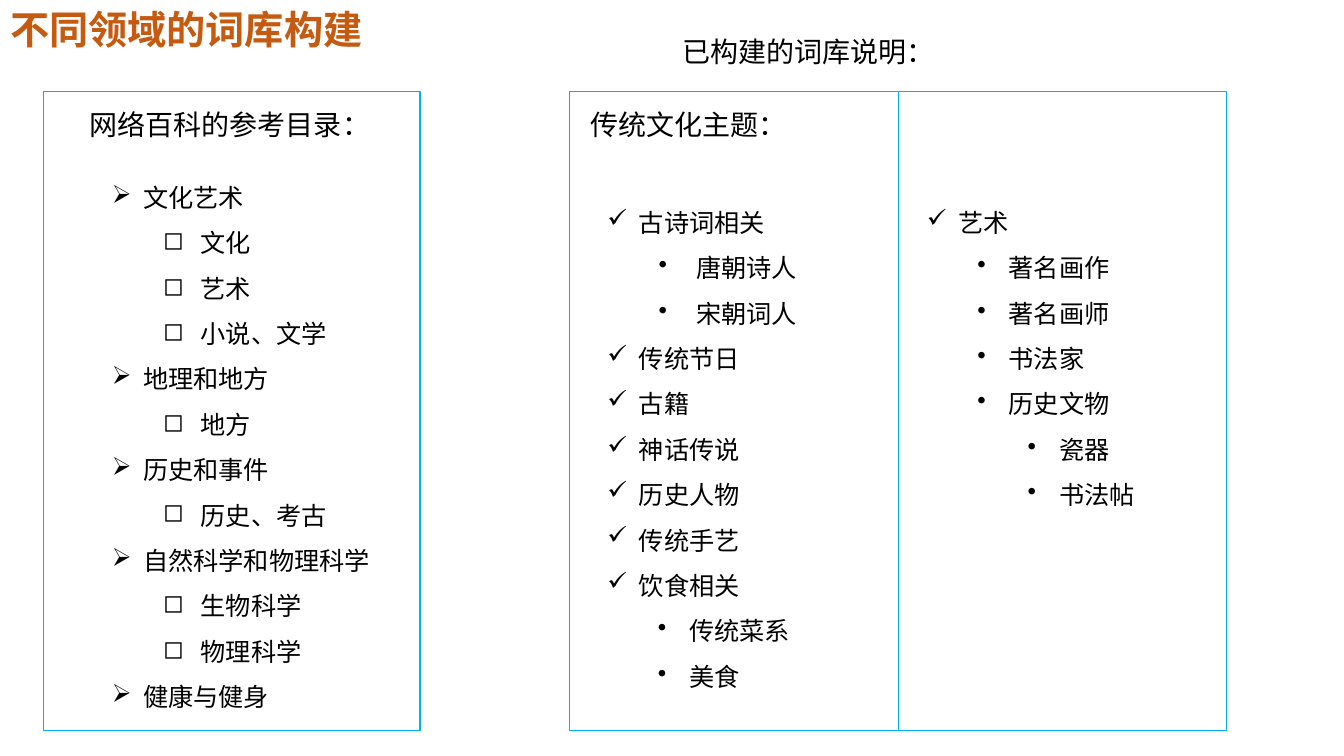
from lxml import etree
from pptx import Presentation
from pptx.dml.color import RGBColor
from pptx.enum.shapes import MSO_CONNECTOR, MSO_SHAPE
from pptx.enum.text import MSO_ANCHOR, MSO_AUTO_SIZE, PP_ALIGN
from pptx.oxml.ns import qn
from pptx.util import Cm, Pt

RECTANGLE = MSO_SHAPE.RECTANGLE
STRAIGHT = MSO_CONNECTOR.STRAIGHT
TOP = MSO_ANCHOR.TOP
FIT_SHAPE = MSO_AUTO_SIZE.SHAPE_TO_FIT_TEXT
LEFT = PP_ALIGN.LEFT

FONT = "Noto Sans CJK SC"
BLACK, ORANGE, BLUE = "000000", "C55A11", "00B0F0"
FRAME_TOP, FRAME_HEIGHT = 2.31, 16.1

# Paragraph styles: level, left indent and hanging indent in cm, bullet
STYLES = {
    "arrow": (0, 0.79, 0.79, "➢"),
    "square": (1, 2.24, 0.95, "◻"),
    "check": (0, 0.79, 0.79, "✓"),
    "wide dot": (1, 2.24, 0.95, "•"),
    "dot": (1, 2.06, 0.79, "•"),
    "art dot": (2, 2.06, 0.79, "•"),
    "deep dot": (4, 3.33, 0.79, "•"),
}


def color(hex_value):
    return RGBColor.from_string(hex_value)


def write(box, place, lines, size, hex_value=BLACK, bold=False):
    """Place a text shape and fill it with (style, text) lines."""
    box.left, box.top, box.width, box.height = (Cm(value) for value in place)
    frame = box.text_frame
    for name, value in {"word_wrap": False, "auto_size": FIT_SHAPE,
                        "vertical_anchor": TOP}.items():
        setattr(frame, name, value)
    for index, (style, text) in enumerate(lines):
        para = frame.add_paragraph() if index else frame.paragraphs[0]
        para.alignment = LEFT
        para.line_spacing = 1.5 if style else 1.0
        if style:
            level, indent, hanging, bullet = STYLES[style]
            para.level = level
            properties = para._p.get_or_add_pPr()
            properties.set("marL", str(Cm(indent)))
            properties.set("indent", str(-Cm(hanging)))
            etree.SubElement(properties, qn("a:buChar")).set("char", bullet)
        span = para.add_run()
        span.text = text
        for name, value in {"name": FONT, "size": Pt(size), "bold": bold}.items():
            setattr(span.font, name, value)
        span.font.color.rgb = color(hex_value)
        east_asian = etree.SubElement(span._r.get_or_add_rPr(), qn("a:ea"))
        east_asian.set("typeface", FONT)


deck = Presentation()
deck.slide_width, deck.slide_height = Cm(33.87), Cm(19.05)
page = deck.slides.add_slide(deck.slide_layouts[5])

# Title
write(page.shapes.title, (0, 0, 9.5, 1.45), [(None, "不同领域的词库构建")],
      28, ORANGE, True)

# Frames
for left, width in ((1.09, 9.5), (14.35, 16.56)):
    panel = page.shapes.add_shape(RECTANGLE, Cm(left), Cm(FRAME_TOP),
                                  Cm(width), Cm(FRAME_HEIGHT))
    panel.shadow.inherit = False
    panel.fill.background()
    panel.line.color.rgb = color(BLUE)
    panel.line.width = Pt(1)

# Divider down the middle of the right frame
divider = page.shapes.add_connector(STRAIGHT, 0, 0, 0, 0)
divider.begin_connect(panel, 0)
divider.end_connect(panel, 2)
divider.line.color.rgb = color(BLUE)
divider.line.width = Pt(0.5)
etree.SubElement(divider._element.spPr, qn("a:effectLst"))

# Headings
headings = [
    (2.01, 2.59, 7.65, "网络百科的参考目录："),
    (16.94, 0.74, 6.93, "已构建的词库说明："),
    (14.63, 2.59, 5.51, "传统文化主题："),
]
for left, top, width, text in headings:
    box = page.shapes.add_textbox(0, 0, 0, 0)
    write(box, (left, top, width, 1.12), [(None, text)], 20)

# Topic lists
topics = [
    ((2.57, 4.09, 7.09, 13.92), [
        ("arrow", "文化艺术"),
        ("square", "文化"),
        ("square", "艺术"),
        ("square", "小说、文学"),
        ("arrow", "地理和地方"),
        ("square", "地方"),
        ("arrow", "历史和事件"),
        ("square", "历史、考古"),
        ("arrow", "自然科学和物理科学"),
        ("square", "生物科学"),
        ("square", "物理科学"),
        ("arrow", "健康与健身"),
    ]),
    ((15.06, 4.72, 5.33, 12.78), [
        ("check", "古诗词相关"),
        ("wide dot", "唐朝诗人"),
        ("wide dot", "宋朝词人"),
        ("check", "传统节日"),
        ("check", "古籍"),
        ("check", "神话传说"),
        ("check", "历史人物"),
        ("check", "传统手艺"),
        ("check", "饮食相关"),
        ("dot", "传统菜系"),
        ("dot", "美食"),
    ]),
    ((23.11, 4.72, 5.79, 8.15), [
        ("check", "艺术"),
        ("art dot", "著名画作"),
        ("art dot", "著名画师"),
        ("art dot", "书法家"),
        ("art dot", "历史文物"),
        ("deep dot", "瓷器"),
        ("deep dot", "书法帖"),
    ]),
]
for place, lines in topics:
    box = page.shapes.add_textbox(0, 0, 0, 0)
    write(box, place, lines, 18)

deck.save("out.pptx")
